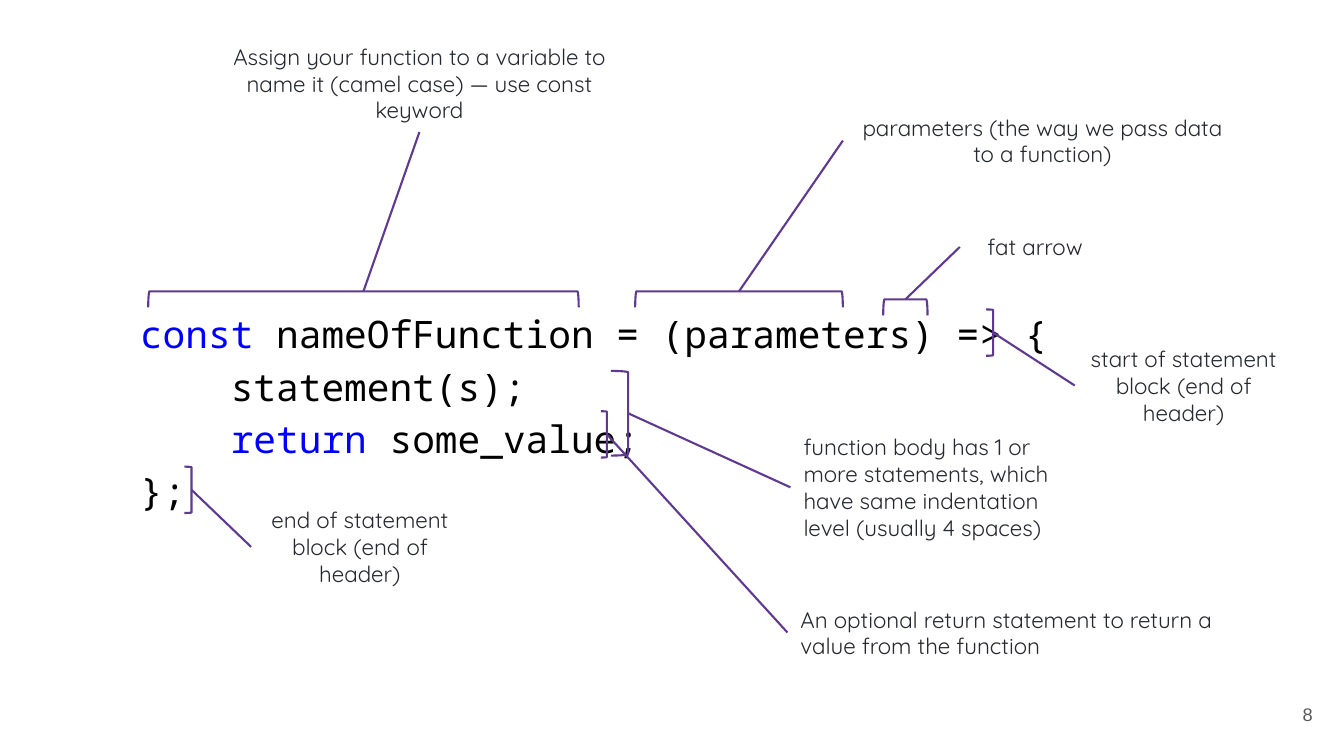
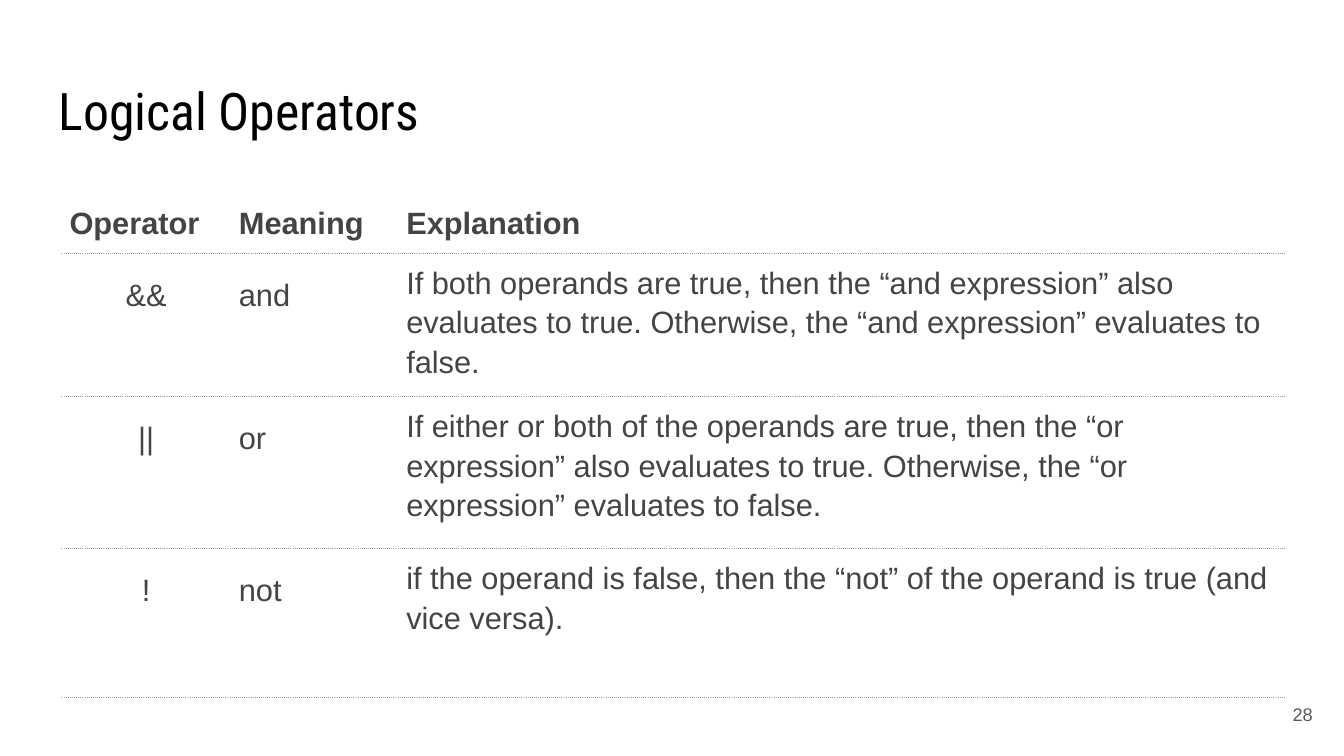
"""Build two teaching slides: the anatomy of a function and the logical operators."""
from dataclasses import dataclass
from typing import NamedTuple

from lxml.etree import SubElement
from pptx import Presentation
from pptx.dml.color import RGBColor
from pptx.enum.shapes import MSO_CONNECTOR, MSO_SHAPE
from pptx.enum.text import MSO_ANCHOR, PP_ALIGN
from pptx.oxml.ns import qn
from pptx.util import Pt

EMU_PER_PX = 9144
BLACK = RGBColor(0x00, 0x00, 0x00)
KEYWORD_BLUE = RGBColor(0x00, 0x00, 0xFF)
PURPLE = RGBColor(0x5F, 0x39, 0x92)
NOTE_INK = RGBColor(0x25, 0x28, 0x30)
TABLE_INK = RGBColor(0x44, 0x44, 0x44)
NUMBER_GREY = RGBColor(0x59, 0x59, 0x59)
RULE_GREY = RGBColor(0x99, 0x99, 0x99)
BODY_FONT = "Arial"
CODE_FONT = "Noto Sans Mono"
NOTE_FONT = "Quicksand"
TITLE_FONT = "Roboto Condensed"
BOX_INSET = 13
CELL_INSET = 8
CODE_INDENT = 90
TOP_SIDE, LEFT_SIDE, BOTTOM_SIDE = 0, 1, 2


class Rect(NamedTuple):
    left: int
    top: int
    width: int
    height: int


@dataclass(frozen=True)
class Callout:
    text: str
    box: Rect
    bracket: Rect
    opens_down: bool = False
    centred: bool = True
    box_side: int = LEFT_SIDE


@dataclass(frozen=True)
class CodeLine:
    keyword: str
    rest: str
    indented: bool = False


CODE = (
    CodeLine("const", " nameOfFunction = (parameters) => {"),
    CodeLine("", "statement(s);", indented=True),
    CodeLine("return", " some_value;", indented=True),
    CodeLine("", "};"),
)

CALLOUTS = (
    Callout("Assign your function to a variable to name it (camel case) — use const keyword",
            Rect(193, 34, 446, 97), Rect(147, 289, 427, 16),
            opens_down=True, box_side=BOTTOM_SIDE),
    Callout("parameters (the way we pass data to a function)",
            Rect(836, 91, 396, 97), Rect(630, 289, 206, 16), opens_down=True),
    Callout("start of statement block (end of header)",
            Rect(1066, 327, 216, 111), Rect(978, 307, 7, 46)),
    Callout("function body has 1 or more statements, which have same indentation level "
            "(usually 4 spaces)",
            Rect(784, 400, 274, 167), Rect(606, 368, 17, 84), centred=False),
    Callout("An optional return statement to return a value from the function",
            Rect(781, 573, 484, 109), Rect(596, 408, 6, 46), centred=False),
    Callout("fat arrow",
            Rect(952, 220, 149, 50), Rect(876, 297, 44, 16), opens_down=True),
    Callout("end of statement block (end of header)",
            Rect(249, 487, 216, 111), Rect(183, 463, 7, 46)),
)

OPERATOR_ROWS = (
    ("Operator", "Meaning", "Explanation"),
    ("&&", "and", "If both operands are true, then the “and expression” also evaluates to true. "
     "Otherwise, the “and expression” evaluates to false."),
    ("||", "or", "If either or both of the operands are true, then the “or expression” also "
     "evaluates to true. Otherwise, the “or expression” evaluates to false."),
    ("!", "not", "if the operand is false, then the “not” of the operand is true "
     "(and vice versa)."),
)
COLUMN_WIDTHS = (168, 166, 879)
ROW_HEIGHTS = (66, 136, 151, 148)


def px(length: int) -> int:
    """Turn px into EMU."""
    return length * EMU_PER_PX


def write(para, text: str, *, size: int, font: str, color: RGBColor, bold: bool = False,
          align=PP_ALIGN.LEFT, line_spacing: float = 1.0) -> None:
    """Add a formatted span to a paragraph."""
    para.alignment = align
    para.line_spacing = line_spacing
    span = para.add_run()
    span.text = text
    span.font.size = Pt(size)
    span.font.name = font
    span.font.bold = bold
    span.font.color.rgb = color


def add_box(shapes, rect: Rect, anchor=MSO_ANCHOR.MIDDLE):
    """Add an empty wrapping text box."""
    box = shapes.add_textbox(*map(px, rect))
    frame = box.text_frame
    frame.word_wrap = True
    frame.vertical_anchor = anchor
    frame.margin_left = frame.margin_right = px(BOX_INSET)
    frame.margin_top = frame.margin_bottom = px(BOX_INSET)
    return box


def add_page(deck, number: int):
    """Add a blank page with its number."""
    page = deck.slides.add_slide(deck.slide_layouts[6])
    box = add_box(page.shapes, Rect(1235, 680, 80, 57))
    write(box.text_frame.paragraphs[0], str(number), size=13, font=BODY_FONT,
          color=NUMBER_GREY, align=PP_ALIGN.RIGHT)
    return page


def add_title(page, text: str) -> None:
    """Add the page title."""
    box = add_box(page.shapes, Rect(45, 65, 1242, 83), MSO_ANCHOR.TOP)
    write(box.text_frame.paragraphs[0], text, size=37, font=TITLE_FONT, color=BLACK)


def add_code(page) -> None:
    """Add the code sample with its keywords coloured."""
    frame = add_box(page.shapes, Rect(126, 152, 937, 507)).text_frame
    for index, line in enumerate(CODE):
        para = frame.add_paragraph() if index else frame.paragraphs[0]
        if line.indented:
            properties = para._p.get_or_add_pPr()
            properties.set("marL", str(px(CODE_INDENT)))
            properties.set("indent", "0")
        for text, color in ((line.keyword, KEYWORD_BLUE), (line.rest, BLACK)):
            if text:
                write(para, text, size=27, font=CODE_FONT, color=color, line_spacing=1.15)


def add_bracket(shapes, rect: Rect, opens_down: bool) -> tuple[int, int]:
    """Add a bracket and return the middle of its spine in EMU."""
    left, top, width, height = map(px, rect)
    middle_x, middle_y = left + width // 2, top + height // 2
    if opens_down:
        bracket = shapes.add_shape(MSO_SHAPE.RIGHT_BRACKET, middle_x - height // 2,
                                   middle_y - width // 2, height, width)
        bracket.rotation = 270
        spine = middle_x, top
    else:
        bracket = shapes.add_shape(MSO_SHAPE.RIGHT_BRACKET, left, top, width, height)
        spine = left + width, middle_y
    bracket.shadow.inherit = False
    bracket.fill.background()
    bracket.line.color.rgb = PURPLE
    bracket.line.width = Pt(1.5)
    return spine


def add_callout(page, callout: Callout) -> None:
    """Add a note joined to the bracket over the code it explains."""
    shapes = page.shapes.add_group_shape().shapes
    box = add_box(shapes, callout.box)
    para = box.text_frame.paragraphs[0]
    para.space_before, para.space_after = Pt(16), Pt(29)
    write(para, callout.text, size=16, font=NOTE_FONT, color=NOTE_INK,
          align=PP_ALIGN.CENTER if callout.centred else PP_ALIGN.LEFT)
    spine = add_bracket(shapes, callout.bracket, callout.opens_down)
    leader = shapes.add_connector(MSO_CONNECTOR.STRAIGHT, *spine, *spine)
    leader.end_connect(box, callout.box_side)
    leader.line.color.rgb = PURPLE
    leader.line.width = Pt(1.5)
    SubElement(leader._element.spPr, qn("a:effectLst"))


def add_borders(cell, dotted_sides: str) -> None:
    """Give the named sides a dotted rule and clear the others."""
    properties = cell._tc.get_or_add_tcPr()
    for side in "LRTB":
        line = SubElement(properties, qn(f"a:ln{side}"), w=str(Pt(0.75)))
        if side in dotted_sides:
            fill = SubElement(line, qn("a:solidFill"))
            SubElement(fill, qn("a:srgbClr"), val=str(RULE_GREY))
            SubElement(line, qn("a:prstDash"), val="dot")
        else:
            SubElement(line, qn("a:noFill"))


def add_operator_table(page) -> None:
    """Add the table of logical operators."""
    table = page.shapes.add_table(
        len(OPERATOR_ROWS), len(COLUMN_WIDTHS), px(61), px(180),
        px(sum(COLUMN_WIDTHS)), px(sum(ROW_HEIGHTS))).table
    table.first_row = table.horz_banding = False
    for column, width in zip(table.columns, COLUMN_WIDTHS):
        column.width = px(width)
    for row, height in zip(table.rows, ROW_HEIGHTS):
        row.height = px(height)
    for row_index, texts in enumerate(OPERATOR_ROWS):
        is_header = row_index == 0
        for column_index, text in enumerate(texts):
            cell = table.cell(row_index, column_index)
            add_borders(cell, "B" if is_header else "TB")
            cell.fill.background()
            cell.margin_left = cell.margin_right = px(CELL_INSET)
            cell.margin_top = cell.margin_bottom = px(CELL_INSET)
            is_symbol = column_index == 0 and not is_header
            is_explanation = column_index == 2 and not is_header
            write(cell.text_frame.paragraphs[0], text, size=22, font=BODY_FONT,
                  color=TABLE_INK, bold=is_header,
                  align=PP_ALIGN.CENTER if is_symbol else PP_ALIGN.LEFT,
                  line_spacing=1.15 if is_explanation else 1.5)


def main() -> None:
    """Build and save the deck."""
    deck = Presentation()
    deck.slide_width, deck.slide_height = px(1333), px(750)

    function_page = add_page(deck, 8)
    add_code(function_page)
    for callout in CALLOUTS:
        add_callout(function_page, callout)

    operator_page = add_page(deck, 28)
    add_title(operator_page, "Logical Operators")
    add_operator_table(operator_page)

    deck.save("out.pptx")


if __name__ == "__main__":
    main()
